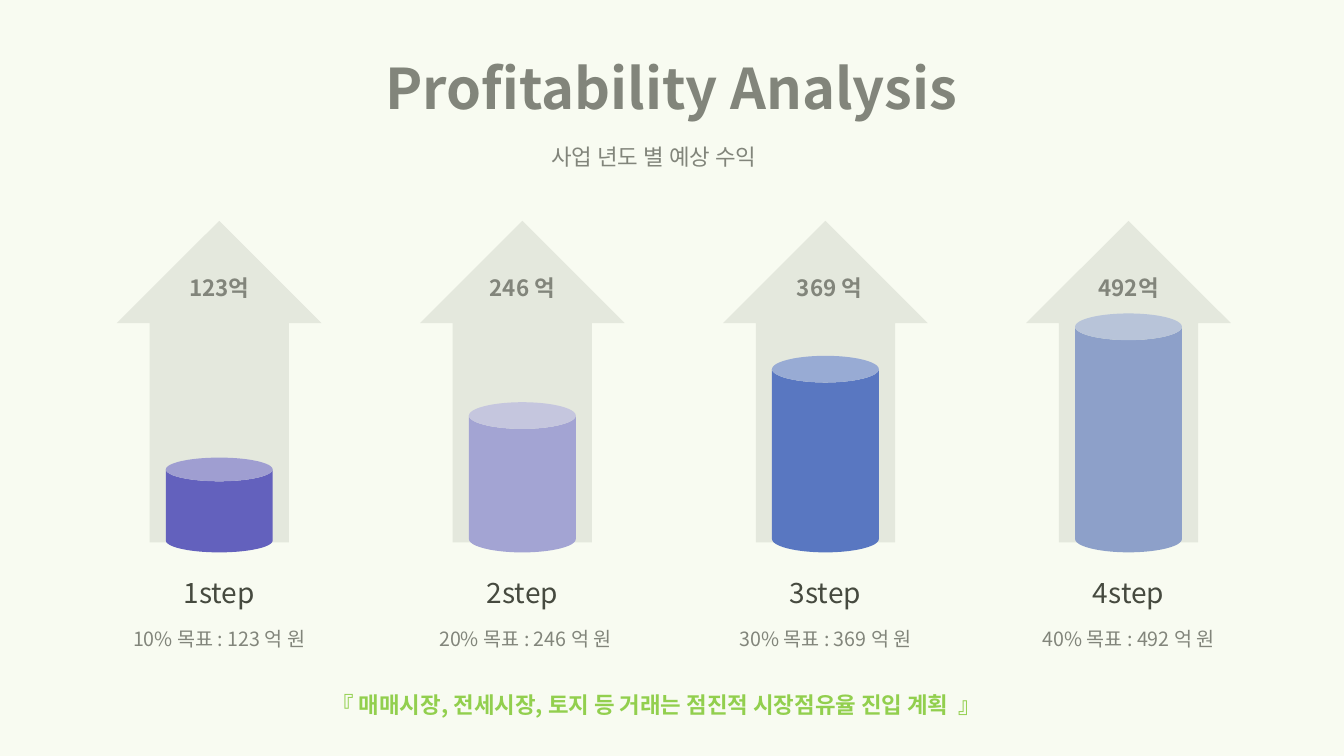
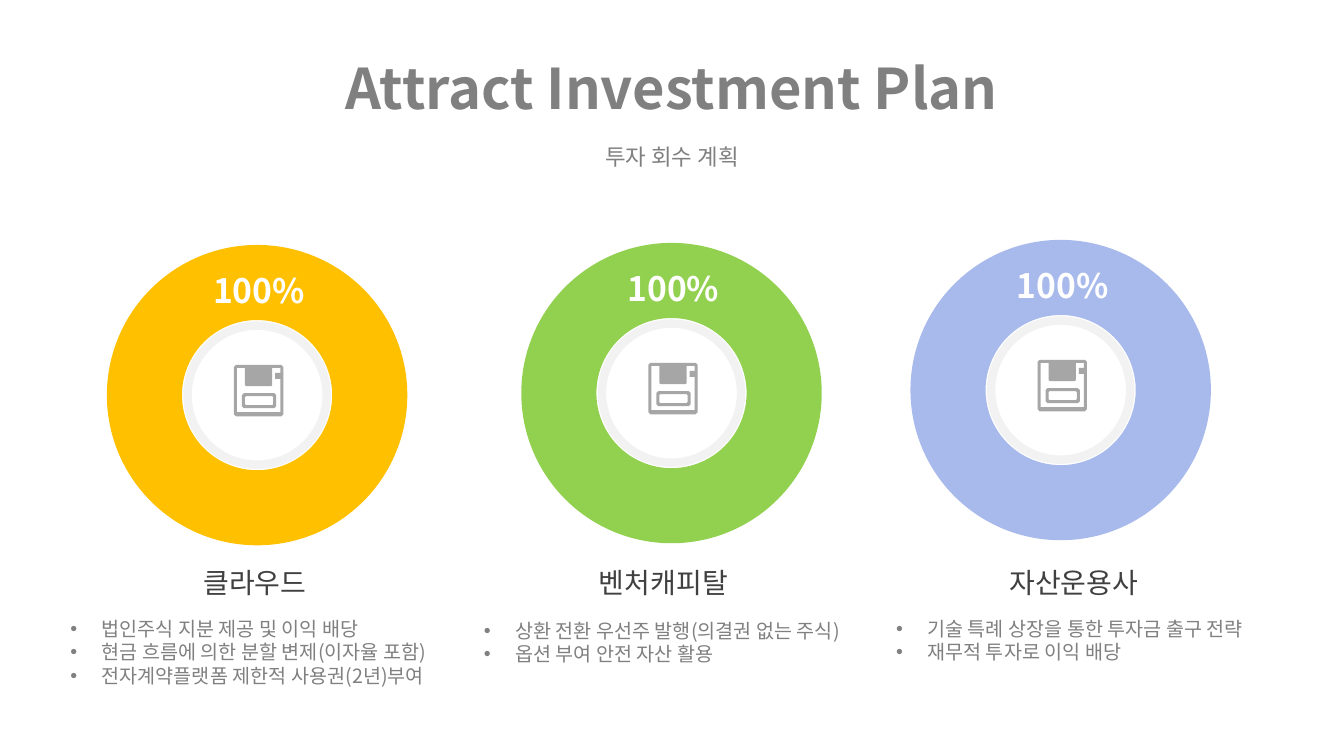
from lxml.etree import SubElement
from pptx import Presentation
from pptx.dml.color import RGBColor
from pptx.enum.shapes import MSO_SHAPE as Shape
from pptx.enum.text import MSO_ANCHOR as Anchor, MSO_AUTO_SIZE as AutoSize, PP_ALIGN as Align
from pptx.oxml.ns import qn
from pptx.util import Pt

PX = 9144  # EMU in one px, 100 px to the inch
SLIDE_W, SLIDE_H = 1333, 750
FONT = "Noto Sans CJK KR"
COLORS = {
    "gray": "808080", "dark": "404040", "white": "FFFFFF", "arrow": "EAEAEA",
    "ring": "F2F2F2", "icon": "A6A6A6", "green": "92D050", "tint": "9FCE3E",
    "violet": "5F59C7", "lilac": "A4A1DF", "blue": "5471CC", "steel": "8C9DD4",
    "amber": "FFC000", "sky": "A8BAEC",
}

PROFIT_TITLE = "Profitability Analysis"
PROFIT_SUBTITLE = "사업 년도 별 예상 수익"
# value, value shift, cylinder height, cylinder colour, step, target, target shift
STEPS = [
    ("123억", 0, 94, "violet", "1step", "10% 목표 : 123 억 원", 0),
    ("246 억", 0, 149, "lilac", "2step", "20% 목표 : 246 억 원", 3),
    ("369 억", 4, 195, "blue", "3step", "30% 목표 : 369 억 원", 0),
    ("492억", 0, 237, "steel", "4step", "40% 목표 : 492 억 원", 0),
]
MARKET_PLAN = "『 매매시장, 전세시장, 토지 등 거래는 점진적 시장점유율 진입 계획  』"
FIRST_STEP_CENTER, STEP_PITCH = 217.5, 300.6
ARROW_W, CYLINDER_W, CYLINDER_BOTTOM = 203, 106, 548

INVEST_TITLE = "Attract Investment Plan"
INVEST_SUBTITLE = "투자 회수 계획"
# investor, heading left, ring corner, ring colour, list box, terms
INVESTORS = [
    ("클라우드 ", 87, (106, 243), "amber", (60, 607, 397, 81),
     ["법인주식 지분 제공 및 이익 배당",
      "현금 흐름에 의한 분할 변제(이자율 포함)",
      "전자계약플랫폼 제한적 사용권(2년)부여"]),
    ("벤처캐피탈", 489, (517, 241), "green", (470, 609, 402, 57),
     ["상환 전환 우선주 발행(의결권 없는 주식)",
      "옵션 부여 안전 자산 활용"]),
    ("자산운용사", 896, (903, 238), "sky", (879, 607, 404, 57),
     ["기술 특례 상장을 통한 투자금 출구 전략",
      "재무적 투자로 이익 배당"]),
]
SHARE = "100%"
RING, HUB = 298, 138
DISK_OFFSET = (126, 119)


def chamfered(x, y, w, h, cut):
    """Corner points of a box with its corners cut off."""
    r, b = x + w, y + h
    return [(x + cut, y), (r - cut, y), (r, y + cut), (r, b - cut),
            (r - cut, b), (x + cut, b), (x, b - cut), (x, y + cut)]


DISK_WINDOW = [(46, 14), (46, 47), (3, 47), (3, 3), (11, 3), (11, 20), (12, 21),
               (37, 21), (38, 20), (38, 3), (46, 3), (46, 8), (41, 8), (41, 14)]
DISK_PARTS = [
    [chamfered(0, 0, 49, 51, 2), DISK_WINDOW],
    [chamfered(8, 28, 34, 15, 2), chamfered(11, 31, 28, 9, 1)],
]


def rgb(color):
    return RGBColor.from_string(COLORS[color])


def place(shape, box):
    shape.left, shape.top, shape.width, shape.height = (round(v * PX) for v in box)


def write(frame, lines, size, color, bold=False, align=Align.CENTER):
    frame.text = "\n".join(lines)
    for paragraph in frame.paragraphs:
        paragraph.alignment = align
        for run in paragraph.runs:
            run.font.name, run.font.size, run.font.bold = FONT, Pt(size), bold
            run.font.color.rgb = rgb(color)
            SubElement(run.font._element, qn("a:ea"), typeface=FONT)


def add_text(shapes, box, lines, size, color, bold=False, align=Align.CENTER):
    label = shapes.add_textbox(*(round(v * PX) for v in box))
    frame = label.text_frame
    frame.word_wrap = True
    write(frame, lines, size, color, bold, align)
    return frame


def paint(shape, color):
    shape.shadow.inherit = False
    shape.fill.solid()
    shape.fill.fore_color.rgb = rgb(color)
    shape.line.fill.background()
    return shape


def add_preset(shapes, preset, box, color):
    return paint(shapes.add_shape(preset, *(round(v * PX) for v in box)), color)


def set_bullet(paragraph, bullet=None, indent=0):
    props = paragraph._p.get_or_add_pPr()
    props.set("marL", str(indent * PX))
    props.set("indent", str(-indent * PX))
    if bullet:
        SubElement(props, qn("a:buFont"), typeface="Arial")
        SubElement(props, qn("a:buChar"), char=bullet)
    else:
        SubElement(props, qn("a:buNone"))


def add_titled_slide(prs, heading, subheading, subheading_left, subheading_width):
    slide = prs.slides.add_slide(prs.slide_layouts[1])
    title, subtitle = slide.placeholders
    place(title, (88, 36, 1156, 100))
    write(title.text_frame, [heading], 40, "gray", bold=True)
    title.text_frame.vertical_anchor = Anchor.MIDDLE
    place(subtitle, (subheading_left, 137, subheading_width, 41))
    write(subtitle.text_frame, [subheading], 16, "gray")
    set_bullet(subtitle.text_frame.paragraphs[0])
    for frame in (title.text_frame, subtitle.text_frame):
        frame.auto_size = AutoSize.NONE
    return slide


def centered(center, top, width, height):
    return center - width / 2, top, width, height


def add_step(shapes, center, step):
    value, value_shift, height, color, name, target, target_shift = step
    arrow = add_preset(shapes, Shape.UP_ARROW, centered(center, 219, ARROW_W, 319), "arrow")
    arrow.adjustments[0], arrow.adjustments[1] = 0.68, 0.5
    add_preset(shapes, Shape.CAN,
               centered(center, CYLINDER_BOTTOM - height, CYLINDER_W, height), color)
    add_text(shapes, centered(center + value_shift, 267, 138, 37), [value], 16, "gray", bold=True)
    add_text(shapes, centered(center, 566, 338, 44), [name], 20, "dark")
    add_text(shapes, centered(center + target_shift, 617, 272, 34), [target], 14, "gray")


def add_disk_icon(shapes, left, top):
    for contours in DISK_PARTS:
        builder = shapes.build_freeform(*contours[0][0], scale=PX)
        for number, points in enumerate(contours):
            if number:
                builder.move_to(*points[0])
            builder.add_line_segments(points[1:], close=True)
        paint(builder.convert_to_shape(left * PX, top * PX), "icon")


def add_investor(shapes, investor):
    name, name_left, (left, top), color, terms_box, terms = investor
    add_text(shapes, (name_left, 556, 338, 44), [name], 20, "dark")
    term_list = add_text(shapes, terms_box, terms, 14, "gray", align=Align.LEFT)
    for paragraph in term_list.paragraphs:
        set_bullet(paragraph, "•", 31)
    add_preset(shapes, Shape.DONUT, (left, top, RING, RING), color)
    inset = (RING - HUB) / 2
    hub = add_preset(shapes, Shape.OVAL, (left + inset, top + inset, HUB, HUB), "white")
    hub.line.color.rgb = rgb("ring")
    hub.line.width = Pt(6)
    add_text(shapes, centered(left + RING / 2 + 2, top + 20, 174, 50), [SHARE], 24, "white", bold=True)
    add_disk_icon(shapes, left + DISK_OFFSET[0], top + DISK_OFFSET[1])


def build_profit_slide(prs):
    slide = add_titled_slide(prs, PROFIT_TITLE, PROFIT_SUBTITLE, 143, 1011)
    for number, step in enumerate(STEPS):
        column = slide.shapes.add_group_shape().shapes
        add_step(column, FIRST_STEP_CENTER + number * STEP_PITCH, step)
    plan = add_text(slide.shapes, (226, 675, 850, 46), [MARKET_PLAN], 16, "green", bold=True)
    plan.paragraphs[0].line_spacing = 1.2
    plan.paragraphs[0].space_before = Pt(3.2)
    tint = add_preset(slide.shapes, Shape.RECTANGLE, (0, 0, SLIDE_W, SLIDE_H), "tint")
    tint_color = tint._element.spPr.find(".//" + qn("a:srgbClr"))
    SubElement(tint_color, qn("a:alpha"), val="7000")


def build_invest_slide(prs):
    slide = add_titled_slide(prs, INVEST_TITLE, INVEST_SUBTITLE, 88, 1157)
    for investor in INVESTORS:
        add_investor(slide.shapes.add_group_shape().shapes, investor)


def main():
    prs = Presentation()
    prs.slide_width, prs.slide_height = SLIDE_W * PX, SLIDE_H * PX
    build_profit_slide(prs)
    build_invest_slide(prs)
    prs.save("out.pptx")


if __name__ == "__main__":
    main()
